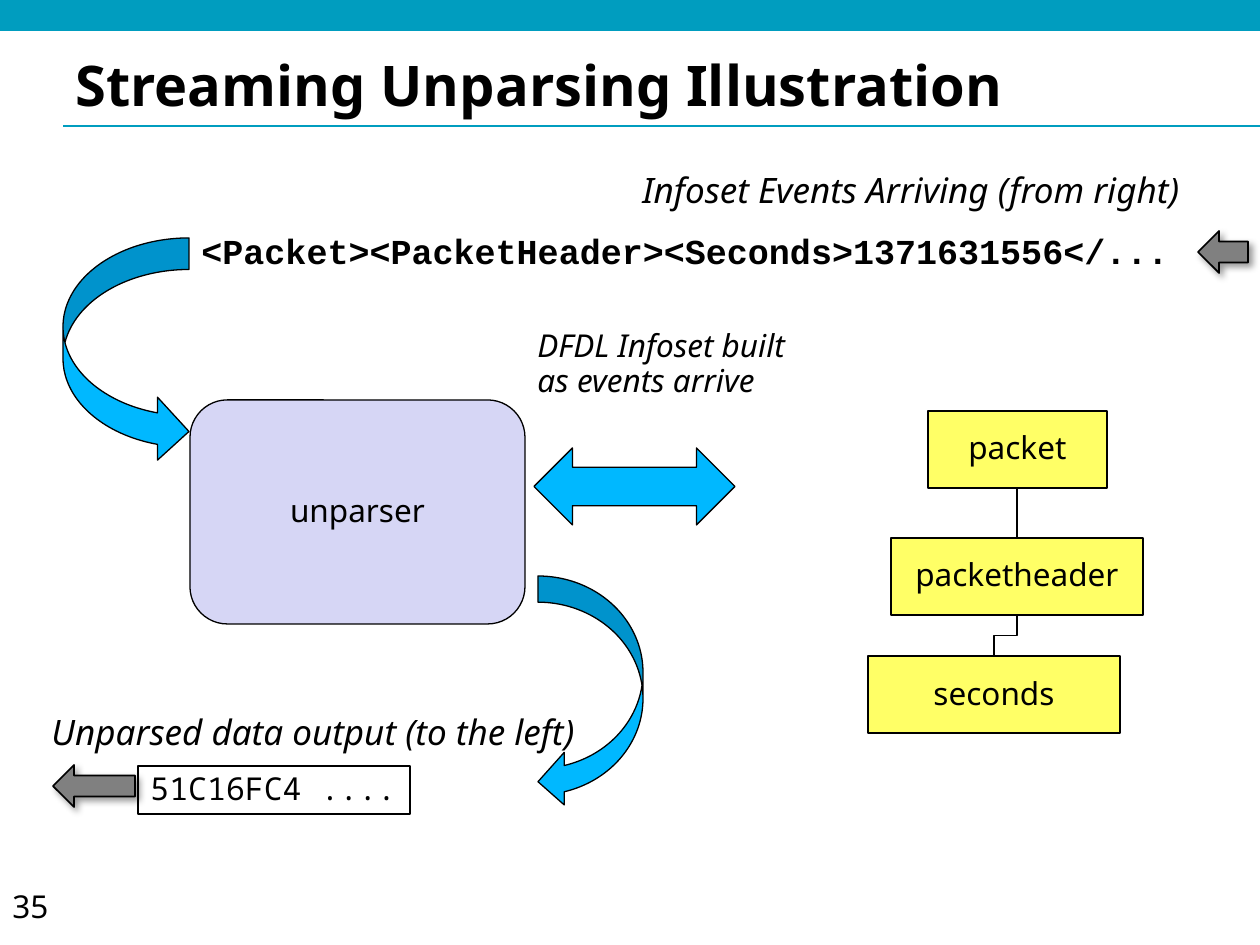
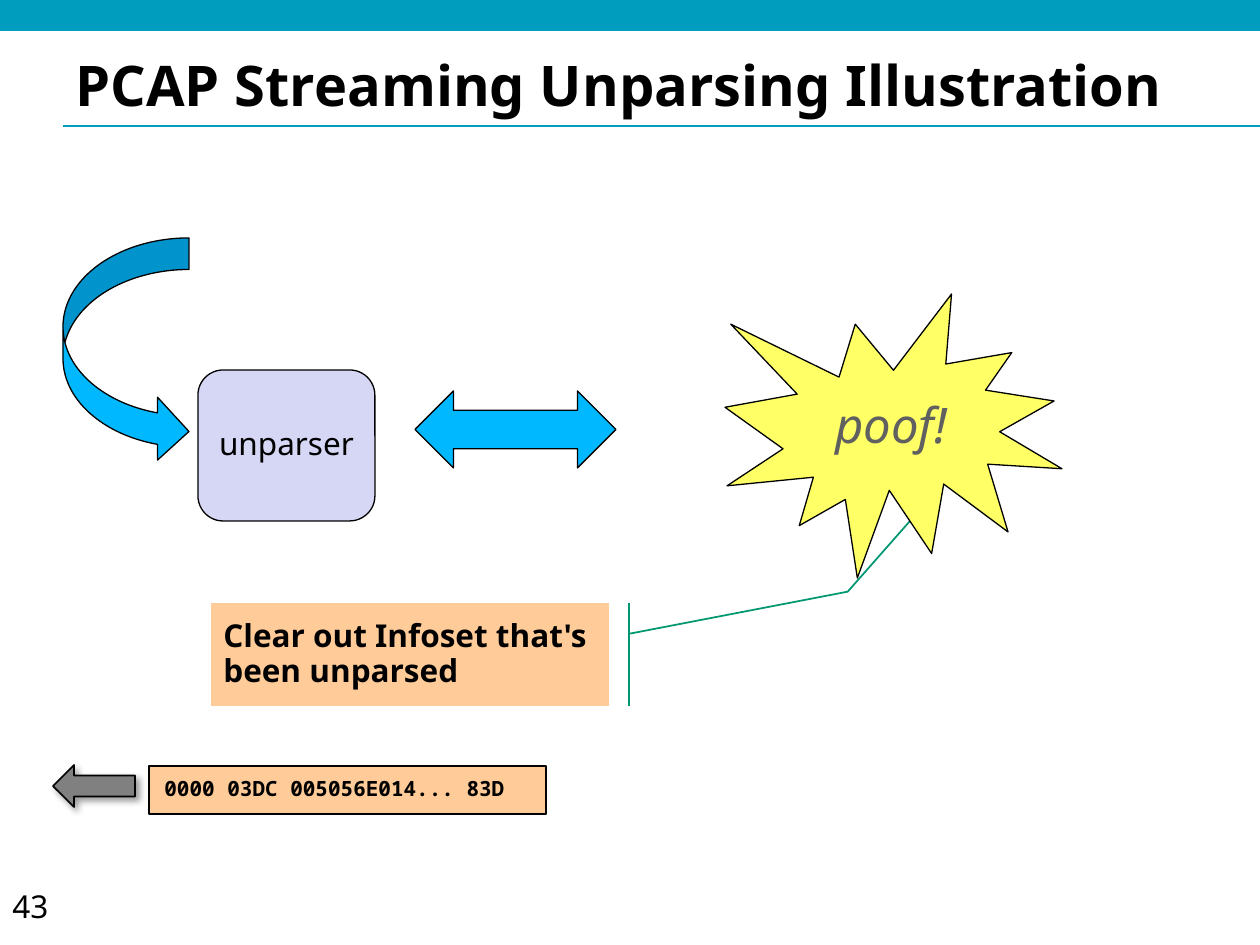
"""Build two slides that illustrate streaming unparsing."""
from dataclasses import dataclass

from lxml import etree
from pptx import Presentation
from pptx import util as u
from pptx.dml import color
from pptx.enum import shapes, text
from pptx.oxml import ns

PX_PER_INCH = 126
SHAPE = shapes.MSO_SHAPE
LINK = shapes.MSO_CONNECTOR
MIDDLE = text.MSO_ANCHOR.MIDDLE
CENTER = text.PP_ALIGN.CENTER


@dataclass(frozen=True)
class Theme:
    band: str = "009DBF"
    ink: str = "000000"
    muted: str = "606060"
    flow: str = "00B8FF"
    stream: str = "808080"
    process: str = "D6D6F5"
    infoset: str = "FFFF66"
    data: str = "FFCC99"
    callout: str = "009771"
    sans: str = "Noto Sans"
    mono: str = "Noto Sans Mono"
    code: str = "Courier New"
    title: int = 32
    burst: int = 28
    caption: int = 20
    body: int = 18
    small: int = 12
    thin: float = 0.75
    leading: float = 0.93


T = Theme()


def px(n):
    return u.Emu(round(n * u.Inches(1) / PX_PER_INCH))


def rgb(value):
    return color.RGBColor.from_string(value)


def write(sp, words, size=T.body, font=T.sans, ink=T.ink, bold=False, italic=False,
          align=text.PP_ALIGN.LEFT, anchor=text.MSO_ANCHOR.TOP, leading=T.leading, wrap=True):
    tf = sp.text_frame
    tf.word_wrap = wrap
    tf.vertical_anchor = anchor
    p = tf.paragraphs[0]
    p.alignment = align
    p.line_spacing = leading
    r = p.add_run()
    r.text = words
    r.font.size = u.Pt(size)
    r.font.name = font
    r.font.bold = bold
    r.font.italic = italic
    r.font.color.rgb = rgb(ink)


def label(s, box, words, **fmt):
    sp = s.shapes.add_textbox(*map(px, box))
    write(sp, words, **fmt)


def block(s, kind, box, fill=None, line=T.ink, weight=T.thin, words=None, **fmt):
    sp = s.shapes.add_shape(kind, *map(px, box))
    sp.shadow.inherit = False
    if fill:
        sp.fill.solid()
        sp.fill.fore_color.rgb = rgb(fill)
    else:
        sp.fill.background()
    if line:
        sp.line.color.rgb = rgb(line)
        sp.line.width = u.Pt(weight)
    else:
        sp.line.fill.background()
    if words:
        write(sp, words, **fmt)
    return sp


def node(s, kind, box, fill, words, **fmt):
    block(s, kind, box, fill, words=words, align=CENTER, anchor=MIDDLE, **fmt)


def connect(s, kind, ends, ink=T.ink):
    c = s.shapes.add_connector(kind, *map(px, ends))
    c.line.color.rgb = rgb(ink)
    c.line.width = u.Pt(T.thin)
    etree.SubElement(c._element.spPr, ns.qn("a:effectLst"))
    return c


def drop_link(s, x1, y1, x2, y2):
    cx, cy = (x1 + x2) / 2, (y1 + y2) / 2
    half_w, half_h = (y2 - y1) / 2, (x1 - x2) / 2
    c = connect(s, LINK.ELBOW, (cx - half_w, cy - half_h, cx + half_w, cy + half_h))
    c._element.spPr.xfrm.set("rot", "5400000")


def stream_arrow(s, box):
    sp = block(s, SHAPE.RIGHT_ARROW, box, T.stream, weight=1)
    sp.rotation = 180
    effects = sp._element.spPr.find(ns.qn("a:effectLst"))
    shadow = etree.SubElement(effects, ns.qn("a:outerShdw"), blurRad=str(u.Pt(4)),
                              dist=str(u.Pt(3)), dir="2700000", rotWithShape="0")
    tint = etree.SubElement(shadow, ns.qn("a:srgbClr"), val=T.ink)
    etree.SubElement(tint, ns.qn("a:alpha"), val="40000")


def flow_arrow(s, kind, box):
    block(s, kind, box, T.flow)


def base_slide(prs, title, number):
    s = prs.slides.add_slide(prs.slide_layouts[6])
    connect(s, LINK.STRAIGHT, (63, 126, 1260, 126), T.band)
    block(s, SHAPE.RECTANGLE, (0, 0, 1260, 31), T.band, line=None)
    label(s, (63, 48, 1134, 77), title, size=T.title, bold=True, anchor=MIDDLE, leading=0.98)
    label(s, (0, 881, 77, 50), number, leading=1.0)
    stream_arrow(s, (53, 765, 82, 42))
    flow_arrow(s, SHAPE.CURVED_RIGHT_ARROW, (63, 238, 126, 225))
    return s


def streaming_slide(prs):
    s = base_slide(prs, "Streaming Unparsing Illustration", "35")
    stream_arrow(s, (1198, 231, 50, 42))
    label(s, (525, 323, 284, 83), "DFDL Infoset built as events arrive", italic=True)
    for box, words in (((630, 166, 630, 52), "Infoset Events Arriving (from right)"),
                       ((39, 708, 656, 52), "Unparsed data output (to the left)")):
        label(s, box, words, size=T.caption, italic=True)
    label(s, (189, 227, 1000, 53), "<Packet><PacketHeader><Seconds>1371631556</...",
          size=T.caption, font=T.code, bold=True, wrap=False)
    block(s, SHAPE.RECTANGLE, (138, 766, 272, 48), words="51C16FC4 ....",
          font=T.mono, wrap=False)
    node(s, SHAPE.ROUNDED_RECTANGLE, (190, 400, 335, 224), T.process, "unparser")
    flow_arrow(s, SHAPE.CURVED_LEFT_ARROW, (538, 576, 105, 235 - 3))
    flow_arrow(s, SHAPE.LEFT_RIGHT_ARROW, (534, 448, 201, 77))
    for box, words in (((928, 411, 179, 77), "packet"),
                       ((891, 538, 252, 77), "packetheader"),
                       ((868, 656, 252, 77), "seconds")):
        node(s, SHAPE.RECTANGLE, box, T.infoset, words)
    drop_link(s, 1017, 488, 1017, 538)
    drop_link(s, 1017, 615, 994, 656)


def pcap_slide(prs):
    s = base_slide(prs, "PCAP Streaming Unparsing Illustration", "43")
    block(s, SHAPE.RECTANGLE, (149, 766, 397, 48), T.data)
    label(s, (152, 772, 462, 37), "0000 03DC 005056E014... 83D",
          size=T.small, font=T.mono, bold=True)
    node(s, SHAPE.ROUNDED_RECTANGLE, (198, 370, 177, 151), T.process, "unparser")
    flow_arrow(s, SHAPE.LEFT_RIGHT_ARROW, (415, 391, 201, 77))
    note = block(s, SHAPE.LINE_CALLOUT_2_ACCENT_BAR, (211, 603, 398, 103), T.data,
                 line=T.callout, weight=1, words="Clear out Infoset that's been unparsed",
                 bold=True, anchor=MIDDLE)
    for i, value in enumerate((0.3, 1.05, -0.11, 1.6, -1.47, 1.91)):
        note.adjustments[i] = value
    node(s, SHAPE.EXPLOSION1, (725, 294, 337, 284), T.infoset, "poof!",
         size=T.burst, ink=T.muted, italic=True)


def main():
    prs = Presentation()
    prs.slide_width, prs.slide_height = px(1260), px(945)
    streaming_slide(prs)
    pcap_slide(prs)
    prs.save("out.pptx")


if __name__ == "__main__":
    main()
